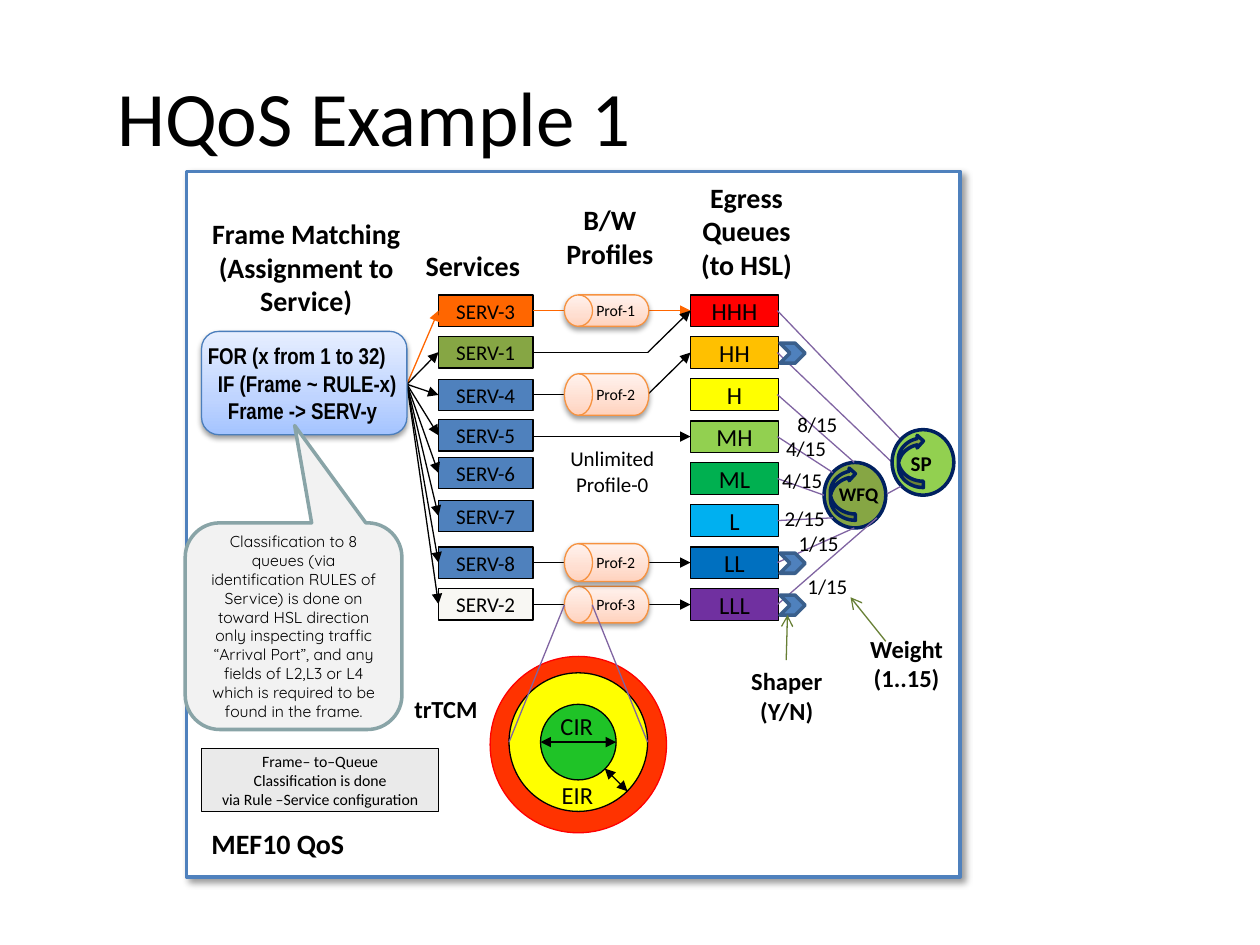
from dataclasses import dataclass

from lxml import etree
from pptx import Presentation
from pptx.dml.color import RGBColor
from pptx.enum import shapes, text
from pptx.oxml import ns
from pptx.util import Inches, Pt

BLACK = RGBColor(0, 0, 0)
WHITE = RGBColor(255, 255, 255)
BLUE = RGBColor(0x4F, 0x81, 0xBD)
OLIVE = RGBColor(0x86, 0xA6, 0x44)
ORANGE = RGBColor(0xFF, 0x66, 0)
RED = RGBColor(0xFF, 0, 0)
SCARLET = RGBColor(0xFF, 0x33, 0)
AMBER = RGBColor(0xFF, 0xC0, 0)
YELLOW = RGBColor(0xFF, 0xFF, 0)
LIME = RGBColor(0x92, 0xD0, 0x50)
GREEN = RGBColor(0, 0xB0, 0x50)
SKY = RGBColor(0, 0xB0, 0xF0)
OCEAN = RGBColor(0, 0x70, 0xC0)
VIOLET = RGBColor(0x70, 0x30, 0xA0)
LILAC = RGBColor(0x80, 0x64, 0xA2)
NAVY = RGBColor(0, 0x20, 0x60)
CORE_GREEN = RGBColor(0x1F, 0xC3, 0x27)
MOSS = RGBColor(0x67, 0x7F, 0x34)
STEEL = RGBColor(0x3A, 0x5F, 0x8C)
IVORY = RGBColor(0xF8, 0xF7, 0xF3)
LIGHT_GREY = RGBColor(0xF2, 0xF2, 0xF2)
GREY = RGBColor(0xEA, 0xEA, 0xEA)
TEAL_GREY = RGBColor(0x89, 0xA4, 0xA7)
BOX_EDGE = RGBColor(0x4B, 0x7E, 0xBC)
DRUM_EDGE = RGBColor(0xF6, 0x92, 0x40)
BLUE_FADE = ("A4C4FF", "BFD4FF", "E6EEFF")
PEACH_FADE = ("FFD2BD", "FFDED0", "FFF2ED")

FORM = shapes.MSO_SHAPE
CENTER = text.PP_ALIGN.CENTER
LEFT = text.PP_ALIGN.LEFT
ROW_PITCH = 1 / 3
ROW_HEIGHT = 0.25


@dataclass
class Box:
    left: float
    top: float
    width: float
    height: float

    def area(self, left, top, width, height):
        return Box(self.left + left, self.top + top, width, height)

    def point(self, across, down):
        return self.left + across, self.top + down

    def inches(self):
        return [Inches(value) for value in (self.left, self.top, self.width, self.height)]


def row_center(row):
    return row * ROW_PITCH + ROW_HEIGHT / 2


def write(shape, lines, size, bold=False, align=CENTER, font="Calibri"):
    frame = shape.text_frame
    frame.text = "\n".join(lines)
    for para in frame.paragraphs:
        para.alignment = align
        for span in para.runs:
            span.font.name, span.font.size, span.font.bold = font, Pt(size), bold
            span.font.color.rgb = BLACK
    return frame


def add_form(page, kind, box, fill, line=BLACK, width=0.75):
    shape = page.shapes.add_shape(kind, *box.inches())
    shape.shadow.inherit = False
    if isinstance(fill, RGBColor):
        shape.fill.solid()
        shape.fill.fore_color.rgb = fill
    else:
        fade(shape, fill)
    shape.line.color.rgb = line
    shape.line.width = Pt(width)
    shape.text_frame.vertical_anchor = text.MSO_ANCHOR.MIDDLE
    return shape


def fade(shape, colors):
    shape.fill.gradient()
    gradient = shape._element.spPr.find(ns.qn("a:gradFill"))
    stops = gradient.find(ns.qn("a:gsLst"))
    for stop in list(stops):
        stops.remove(stop)
    for place, color in zip((0, 35000, 100000), colors):
        stop = etree.SubElement(stops, ns.qn("a:gs"), pos=str(place))
        etree.SubElement(stop, ns.qn("a:srgbClr"), val=color)
    gradient.find(ns.qn("a:lin")).set("ang", "16200000")


def cast_shadow(shape, alpha=38, blur=3.1, distance=1.6, angle=90):
    effects = shape._element.spPr.find(ns.qn("a:effectLst"))
    shadow = etree.SubElement(effects, ns.qn("a:outerShdw"), blurRad=str(Pt(blur)),
                              dist=str(Pt(distance)), dir=str(angle * 60000), rotWithShape="0")
    color = etree.SubElement(shadow, ns.qn("a:srgbClr"), val="000000")
    etree.SubElement(color, ns.qn("a:alpha"), val=str(alpha * 1000))


def flip(shape, *axes):
    for axis in axes:
        shape._element.spPr.find(ns.qn("a:xfrm")).set("flip" + axis, "1")


def add_label(page, box, lines, size, bold=False, align=CENTER, wrap=False):
    label = page.shapes.add_textbox(*box.inches())
    frame = write(label, lines, size, bold, align)
    frame.word_wrap = wrap
    frame.auto_size = text.MSO_AUTO_SIZE.SHAPE_TO_FIT_TEXT


def add_line(page, start, end, color=BLACK, head=None, tail=None):
    line = page.shapes.add_connector(shapes.MSO_CONNECTOR.STRAIGHT,
                                     *[Inches(value) for value in (*start, *end)])
    line.line.color.rgb = color
    line.line.width = Pt(0.75)
    for tag, kind in (("a:headEnd", head), ("a:tailEnd", tail)):
        if kind:
            etree.SubElement(line.line._get_or_add_ln(), ns.qn(tag), type=kind)
    etree.SubElement(line._element.spPr, ns.qn("a:effectLst"))


def add_cell(page, box, name, size, fill):
    cell = add_form(page, FORM.RECTANGLE, box, fill)
    write(cell, [name], size).word_wrap = False


def add_title(page, box):
    title = page.shapes.title
    title.left, title.top, title.width, title.height = box.inches()
    frame = write(title, ["HQoS Example 1"], 44, align=LEFT)
    frame.vertical_anchor = text.MSO_ANCHOR.MIDDLE


def add_panel(page, box):
    panel = add_form(page, FORM.RECTANGLE, box, WHITE, BLUE, 2)
    cast_shadow(panel, 40, 4, 3, 45)
    add_label(page, box.area(0.1, 5.15, 1.45, 0.37), ["MEF10 QoS"], 16, True, LEFT)


def add_services(page, box):
    add_label(page, box.area(-0.2, -0.42, 1.11, 0.37), ["Services"], 16, True, LEFT)
    services = [("SERV-3", 0, ORANGE), ("SERV-1", 0.33, OLIVE), ("SERV-4", 0.67, BLUE),
                ("SERV-5", 0.99, BLUE), ("SERV-6", 1.29, BLUE), ("SERV-7", 1.63, BLUE),
                ("SERV-8", 2, BLUE), ("SERV-2", 2.33, IVORY)]
    for name, top, fill in services:
        add_cell(page, box.area(0, top, box.width, ROW_HEIGHT), name, 12, fill)
        add_line(page, box.point(-0.25, 0.71), box.point(0, top + ROW_HEIGHT / 2),
                 ORANGE if fill == ORANGE else BLACK, tail="triangle")


def add_queues(page, box):
    add_label(page, box.area(-0.17, -0.96, 1.23, 0.91), ["Egress", "Queues", "(to HSL)"],
              16, True, wrap=True)
    queues = [("HHH", RED), ("HH", AMBER), ("H", YELLOW), ("MH", LIME),
              ("ML", GREEN), ("L", SKY), ("LL", OCEAN), ("LLL", VIOLET)]
    for row, (name, fill) in enumerate(queues):
        add_cell(page, box.area(0, row * ROW_PITCH, box.width, ROW_HEIGHT), name, 14, fill)


def add_profiles(page, box):
    add_label(page, box.area(0.1, -0.78, 1.02, 0.64), ["B/W", "Profiles"], 16, True)
    add_label(page, box.area(0.18, 1.15, 0.9, 0.51), ["Unlimited", "Profile-0"], 12)
    drum_left, drum_right = 0.25, 0.91

    # Links: start, start row, end, end row, colour, arrowhead
    links = [(0, 0, box.width, 0, ORANGE, True), (0, 3, box.width, 3, BLACK, True),
             (0, 1, drum_right, 1, BLACK, False), (drum_right, 1, box.width, 0, BLACK, True),
             (0, 2, drum_left, 2, BLACK, False), (drum_right, 2, box.width, 1, BLACK, True)]
    for row in (6, 7):
        links += [(0, row, drum_left, row, BLACK, False),
                  (drum_right, row, box.width, row, BLACK, True)]
    for start, start_row, end, end_row, color, arrow in links:
        add_line(page, box.point(start, row_center(start_row)),
                 box.point(end, row_center(end_row)), color, tail="triangle" if arrow else None)

    # Profile drums
    for name, row, height in (("Prof-3", 7, 0.29), ("Prof-2", 6, 0.3),
                              ("Prof-2", 2, 0.33), ("Prof-1", 0, 0.25)):
        place = box.area(drum_left, row_center(row) - height / 2, 0.67, height)
        drum = add_form(page, FORM.FLOWCHART_DIRECT_ACCESS_STORAGE, place, PEACH_FADE, DRUM_EDGE)
        flip(drum, "H")
        cast_shadow(drum)
        frame = write(drum, [name], 9, align=LEFT)
        frame.word_wrap = False
        frame.margin_left, frame.margin_right = Inches(0.03), Inches(0.2)


def add_wheel(page, box, name, size, label):
    add_form(page, FORM.OVAL, box, LIME if name == "SP" else OLIVE, NAVY, 2)
    arrow = add_form(page, FORM.CURVED_LEFT_ARROW, box.area(0.05, 0.04, 0.2, 0.42), OLIVE, NAVY, 2)
    flip(arrow, "H", "V")
    add_label(page, box.area(*label), [name], size, True, LEFT)


def add_scheduler(page, box):
    add_wheel(page, box.area(0.36, 1.33, 0.49, 0.52), "WFQ", 11, (0.02, 0.11, 0.56, 0.29))
    ends = [(0.97, 1.15), (0.9, 1.33), (0.6, 1.33), (0.43, 1.41),
            (0.36, 1.59), (0.43, 1.77), (0.6, 1.85), (0.78, 1.77)]
    for row, end in enumerate(ends):
        add_line(page, box.point(-0.01, row_center(row)), box.point(*end), LILAC)
    add_wheel(page, box.area(0.9, 1.07, 0.49, 0.52), "SP", 12, (0.05, 0.12, 0.43, 0.3))
    add_line(page, box.point(0.97, 1.52), box.point(0.86, 1.58), LILAC)

    # Shapers and weights
    for row in (1, 6, 7):
        place = box.area(0.01, row * ROW_PITCH + 0.05, 0.2, 0.16)
        add_form(page, FORM.CHEVRON, place, BLUE, STEEL, 2)
    for weight, left, top in (("8/15", 0.05, 0.88), ("4/15", -0.04, 1.07), ("4/15", -0.07, 1.32),
                              ("2/15", -0.05, 1.62), ("1/15", 0.06, 1.82), ("1/15", 0.13, 2.16)):
        add_label(page, box.area(left, top, 0.53, 0.3), [weight], 12, align=LEFT)
    add_label(page, box.area(-0.37, 2.9, 0.87, 0.57), ["Shaper", "(Y/N)"], 14, True)
    add_label(page, box.area(0.59, 2.64, 0.85, 0.57), ["Weight", "(1..15)"], 14, True)
    add_line(page, box.point(0.06, 2.9), box.point(0.07, 2.54), MOSS, tail="arrow")
    add_line(page, box.point(0.85, 2.75), box.point(0.57, 2.4), MOSS, tail="arrow")


def add_meter(page, box):
    for inset, fill, line in ((0, SCARLET, RED), (0.15, YELLOW, BLACK), (0.4, CORE_GREEN, BLACK)):
        side = box.width - 2 * inset
        add_form(page, FORM.OVAL, box.area(inset, inset - (0.02 if inset else 0), side, side),
                 fill, line)
    for start, end in (((0.4, 0.68), (1, 0.68)), ((1.09, 1.07), (0.91, 0.89))):
        add_line(page, box.point(*start), box.point(*end), head="triangle", tail="triangle")
    add_label(page, box.area(0.46, 0.38, 0.54, 0.34), ["CIR"], 14, align=LEFT)
    add_label(page, box.area(0.47, 0.93, 0.53, 0.34), ["EIR"], 14, align=LEFT)
    add_label(page, box.area(-0.7, 0.25, 0.77, 0.34), ["trTCM"], 14, True, LEFT)
    for start, end in ((0.59, 0.15), (0.81, 1.25)):
        add_line(page, box.point(start, -0.41), box.point(end, 0.68), LILAC)


def add_matching(page, box):
    add_label(page, box.area(-0.13, -0.96, 1.92, 0.91),
              ["Frame Matching", "(Assignment to", "Service)"], 16, True)
    rule = add_form(page, FORM.ROUNDED_RECTANGLE, box, BLUE_FADE, BOX_EDGE)
    cast_shadow(rule)
    frame = write(rule, ["FOR (x from 1 to 32)", "IF (Frame ~ RULE-x)", "Frame -> SERV-y"],
                  13, True, LEFT, "Arial Narrow")
    frame.margin_left = frame.margin_right = Inches(0.01)
    for level, para in enumerate(frame.paragraphs):
        para._p.get_or_add_pPr().set("marL", str(Inches(0.08 * level)))


def add_notes(page, box):
    callout = add_form(page, FORM.ROUNDED_RECTANGULAR_CALLOUT, box.area(0, 0, box.width, 1.64),
                       LIGHT_GREY, TEAL_GREY, 2)
    flip(callout, "H")
    for index, value in enumerate((-0.005, -0.971, 0.167)):
        callout.adjustments[index] = value
    write(callout, ["Classification to 8 queues (via identification RULES of Service) is done on "
                    "toward HSL direction only inspecting traffic “Arrival Port”, and any fields "
                    "of L2,L3 or L4 which is required to be found in the frame."],
          9, font="Quicksand")
    remark = add_form(page, FORM.RECTANGLE, box.area(0.13, 1.79, 1.88, 0.5), GREY)
    write(remark, ["Frame– to–Queue", "Classification is done",
                   "via Rule –Service configuration"], 9).word_wrap = False


def main():
    deck = Presentation()
    deck.slide_width, deck.slide_height = Inches(10), Inches(7.5)
    page = deck.slides.add_slide(deck.slide_layouts[5])
    add_title(page, Box(0.83, 0.29, 8.83, 1.25))
    add_panel(page, Box(1.48, 1.36, 6.14, 5.6))
    add_services(page, Box(3.48, 2.34, 0.75, 2.58))
    add_queues(page, Box(5.48, 2.34, 0.7, 2.58))
    add_profiles(page, Box(4.23, 2.34, 1.25, 2.58))
    add_scheduler(page, Box(6.18, 2.34, 1.39, 2.58))
    add_meter(page, Box(3.89, 5.21, 1.4, 1.4))
    add_matching(page, Box(1.6, 2.63, 1.63, 0.82))
    add_notes(page, Box(1.47, 4.15, 1.72, 2.29))
    deck.save("out.pptx")


if __name__ == "__main__":
    main()
